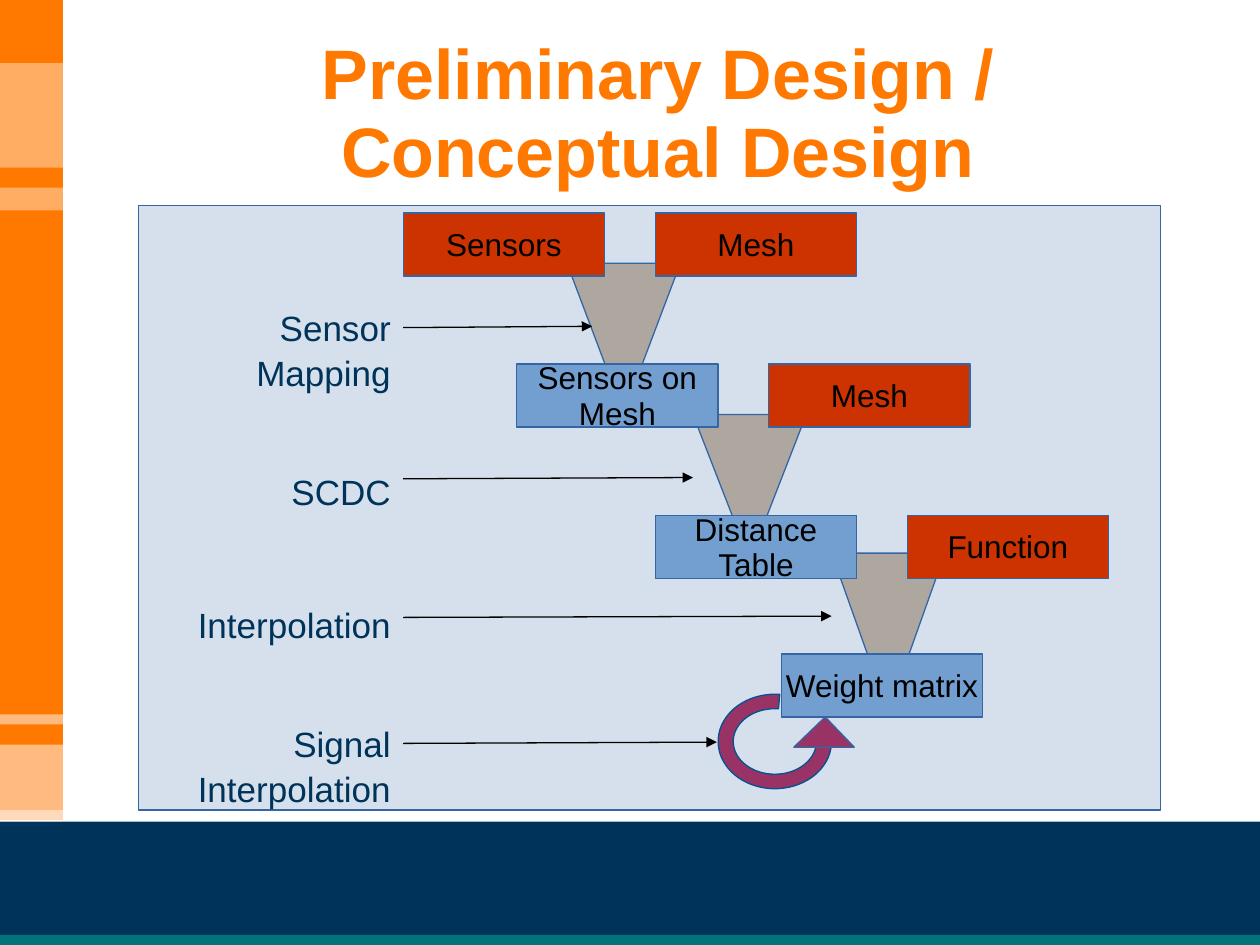
import math
from dataclasses import dataclass

import pptx
import pptx.dml.color
import pptx.enum.shapes
import pptx.enum.text
import pptx.oxml
import pptx.oxml.ns
import pptx.util

CELL = 0.1
COLUMNS, ROWS = 100, 75
ORANGE, NAVY, TEAL, WHITE, BLACK = "FF7900", "003359", "00747A", "FFFFFF", "000000"
INPUT, RESULT, FUNNEL, LOOP = "CC3300", "729FCF", "AEA79F", "993366"
OUTLINE, LOOP_OUTLINE = "3465A4", "005392"
BAR_WIDTH = 5
BOX_WIDTH, BOX_HEIGHT = 16, 5
FUNNEL_SIZE = 9
ARROW_START = 32
LABEL_HEIGHT = 6.6

Shapes = pptx.enum.shapes.MSO_SHAPE
Align = pptx.enum.text.PP_ALIGN
Anchor = pptx.enum.text.MSO_ANCHOR


@dataclass(frozen=True)
class Band:
    row: float
    height: float
    color: str
    opacity: int = 100
    width: float = BAR_WIDTH


@dataclass(frozen=True)
class Box:
    column: float
    row: float
    paragraphs: tuple[str, ...]
    color: str


@dataclass(frozen=True)
class Funnel:
    column: float
    row: float
    inset: float


@dataclass(frozen=True)
class Step:
    column: float
    row: float
    text: str
    arrow_row: float
    arrow_end: float


BANDS = [
    Band(0, 56.6, ORANGE, 61),
    Band(65.2, 9.8, NAVY, width=COLUMNS),
    Band(20.8, 10, ORANGE),
    Band(30.8, 34.3, ORANGE, 50),
    Band(16.7, 40, ORANGE),
    Band(4.2, 0.8, ORANGE, 50),
    Band(64.3, 0.9, WHITE, 45),
    Band(74.2, 0.8, TEAL, width=COLUMNS),
    Band(0, 5, ORANGE),
    Band(13.3, 1.6, ORANGE),
    Band(57.5, 1.6, ORANGE),
]
FUNNELS = [Funnel(45, 20.9, 3.4), Funnel(55, 32.9, 3.5), Funnel(66, 43.9, 3.2)]
BOXES = [
    Box(41, 28.9, ("Sensors on\nMesh",), RESULT),
    Box(61, 28.9, ("Mesh",), INPUT),
    Box(32, 16.9, ("Sensors",), INPUT),
    Box(52, 16.9, ("Mesh",), INPUT),
    Box(52, 40.9, ("Distance", "Table"), RESULT),
    Box(72, 40.9, ("Function",), INPUT),
    Box(62, 51.9, ("Weight matrix",), RESULT),
]
STEPS = [
    Step(12, 23.4, "Sensor\nMapping", 25.9, 47),
    Step(22, 36.4, "SCDC", 37.9, 55),
    Step(13, 47, "Interpolation", 48.9, 66),
    Step(14, 56.4, "Signal\nInterpolation", 58.9, 56.9),
]


def grid(cells: float) -> int:
    return pptx.util.Inches(cells * CELL)


def paint(target, color: str, opacity: int = 100) -> None:
    target.solid()
    target.fore_color.rgb = pptx.dml.color.RGBColor.from_string(color)
    if opacity < 100:
        choice = target._xPr.find(pptx.oxml.ns.qn("a:solidFill"))[0]
        alpha = pptx.oxml.parse_xml(
            f'<a:alpha {pptx.oxml.ns.nsdecls("a")} val="{opacity * 1000}"/>'
        )
        choice.append(alpha)


def style(shape, color: str, outline: str | None = None, opacity: int = 100):
    shape.shadow.inherit = False
    paint(shape.fill, color, opacity)
    if outline:
        paint(shape.line.fill, outline)
        shape.line.width = pptx.util.Pt(0.75)
    else:
        shape.line.fill.background()
    return shape


def add_preset(slide, kind, column, row, width, height, color, **look):
    shape = slide.shapes.add_shape(
        kind, grid(column), grid(row), grid(width), grid(height)
    )
    return style(shape, color, **look)


def add_outline(slide, points: list[tuple[float, float]], color: str, outline: str):
    corners = [(grid(column), grid(row)) for column, row in points]
    builder = slide.shapes.build_freeform(*corners[0], scale=1.0)
    builder.add_line_segments(corners[1:], close=True)
    return style(builder.convert_to_shape(), color, outline)


def write(shape, paragraphs: tuple[str, ...], *, size: float, color: str,
          align, spacing: float, bold: bool = False, wrap: bool = True,
          anchor=Anchor.TOP, top: float = 0.07) -> None:
    frame = shape.text_frame
    frame.word_wrap = wrap
    frame.vertical_anchor = anchor
    frame.margin_left = frame.margin_right = pptx.util.Inches(0.1)
    frame.margin_top = pptx.util.Inches(top)
    frame.margin_bottom = pptx.util.Inches(0.05)
    for index, text in enumerate(paragraphs):
        paragraph = frame.add_paragraph() if index else frame.paragraphs[0]
        paragraph.text = text
        paragraph.alignment = align
        paragraph.line_spacing = spacing
        for run in paragraph.runs:
            run.font.name = "Arial"
            run.font.size = pptx.util.Pt(size)
            run.font.bold = bold
            paint(run.font.fill, color)


def add_text(slide, column, row, width, height, paragraphs, **text_format) -> None:
    box = slide.shapes.add_textbox(grid(column), grid(row), grid(width), grid(height))
    write(box, paragraphs, **text_format)


def add_funnel(slide, funnel: Funnel) -> None:
    left, right = funnel.column, funnel.column + FUNNEL_SIZE
    foot = funnel.row + FUNNEL_SIZE
    points = [(left, funnel.row), (left + funnel.inset, foot),
              (right - funnel.inset, foot), (right, funnel.row)]
    add_outline(slide, points, FUNNEL, OUTLINE)


def add_box(slide, box: Box) -> None:
    shape = add_preset(slide, Shapes.RECTANGLE, box.column, box.row,
                       BOX_WIDTH, BOX_HEIGHT, box.color, outline=OUTLINE)
    write(shape, box.paragraphs, size=18, color=BLACK, align=Align.CENTER,
          spacing=0.93, wrap=False, anchor=Anchor.MIDDLE)


def add_step(slide, step: Step) -> None:
    add_text(slide, step.column, step.row, ARROW_START - step.column, LABEL_HEIGHT,
             (step.text,), size=20, color=NAVY, align=Align.RIGHT, spacing=1.07)
    arrow = slide.shapes.add_connector(
        pptx.enum.shapes.MSO_CONNECTOR.STRAIGHT, grid(ARROW_START),
        grid(step.arrow_row + 0.1), grid(step.arrow_end), grid(step.arrow_row)
    )
    paint(arrow.line.fill, BLACK)
    arrow.line.width = pptx.util.Pt(0.75)
    namespace = pptx.oxml.ns.nsdecls("a")
    arrow.line._get_or_add_ln().append(
        pptx.oxml.parse_xml(f'<a:tailEnd {namespace} type="triangle"/>')
    )
    arrow._element.spPr.append(pptx.oxml.parse_xml(f"<a:effectLst {namespace}/>"))


def add_loop(slide) -> None:
    def arc(radius_x: float, radius_y: float) -> list[tuple[float, float]]:
        angles = [math.radians(degrees) for degrees in range(-5, 276, 5)]
        return [(61.5 + radius_x * math.cos(angle), 58.85 + radius_y * math.sin(angle))
                for angle in angles]

    add_outline(slide, arc(4.5, 3.75) + arc(3.3, 2.6)[::-1], LOOP, LOOP_OUTLINE)
    head = add_preset(slide, Shapes.ISOSCELES_TRIANGLE, 63, 56.9, 4.8, 2.4,
                      LOOP, outline=OUTLINE)
    head.adjustments[0] = 0.52


def main() -> None:
    presentation = pptx.Presentation()
    presentation.slide_width, presentation.slide_height = grid(COLUMNS), grid(ROWS)
    slide = presentation.slides.add_slide(presentation.slide_layouts[6])
    for band in BANDS:
        add_preset(slide, Shapes.RECTANGLE, 0, band.row, band.width, band.height,
                   band.color, opacity=band.opacity)
    add_preset(slide, Shapes.RECTANGLE, 11, 16.3, 81.1, 48, OUTLINE,
               outline=OUTLINE, opacity=20)
    for funnel in FUNNELS:
        add_funnel(slide, funnel)
    add_text(slide, 14.6, 2, 75.2, 13.4, ("Preliminary Design /", "Conceptual Design"),
             size=40, color=ORANGE, align=Align.CENTER, spacing=0.93, bold=True, top=0.09)
    for box in BOXES:
        add_box(slide, box)
    for step in STEPS:
        add_step(slide, step)
    add_loop(slide)
    presentation.save("out.pptx")


if __name__ == "__main__":
    main()
